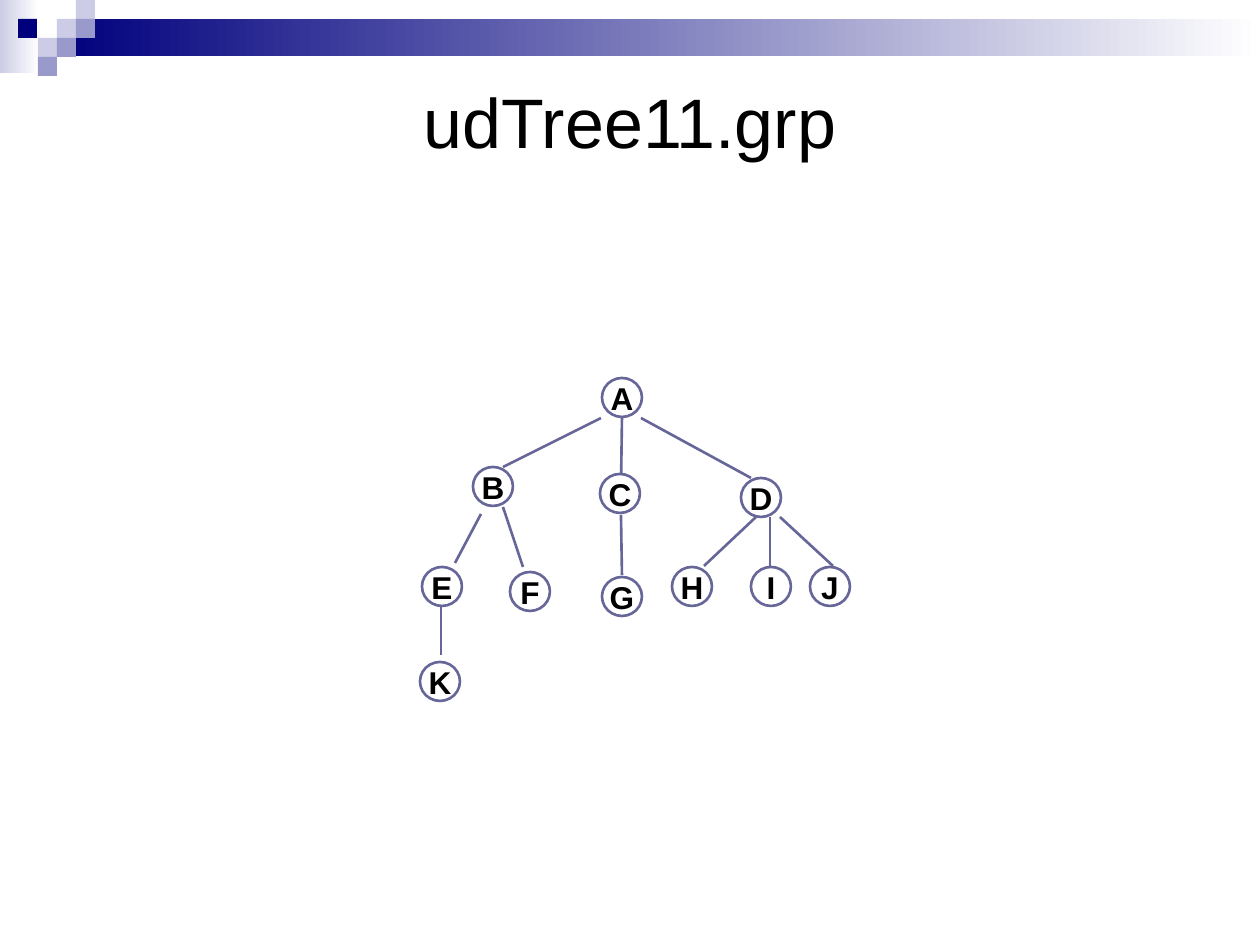
from pptx import Presentation
from pptx.dml.color import RGBColor
from pptx.enum.shapes import MSO_CONNECTOR, MSO_SHAPE
from pptx.enum.text import MSO_ANCHOR, MSO_AUTO_SIZE, PP_ALIGN
from pptx.oxml.ns import qn
from pptx.util import Pt
from lxml.etree import SubElement

PX = 914400 / 126
WHITE, NAVY, LILAC, VIOLET, SLATE = "FFFFFF", "00007D", "CCCCE6", "9999CC", "666699"
CELL = 19
NODE_W, NODE_H = 40, 39

BANDS = [(0, 0, 39, 73, LILAC), (57, 19, 1203, 37, NAVY)]
SQUARES = [(57, 19, LILAC), (76, 0, LILAC), (76, 19, VIOLET), (38, 38, LILAC),
           (18, 19, NAVY), (57, 38, VIOLET), (38, 57, VIOLET)]
NODES = {"A": (602, 378), "B": (473, 467), "C": (600, 474), "D": (741, 478),
         "E": (422, 567), "F": (510, 572), "G": (602, 577), "H": (672, 567),
         "I": (751, 567), "J": (810, 567), "K": (420, 662)}
EDGES = [(601, 418, 503, 467), (641, 418, 751, 478), (622, 418, 621, 488),
         (621, 515, 622, 575), (441, 606, 441, 655), (770, 517, 770, 566),
         (503, 507, 523, 567), (481, 514, 455, 563), (780, 517, 833, 566),
         (756, 517, 704, 566)]


def px(*values):
    return [round(v * PX) for v in values]


def rgb(color):
    return RGBColor.from_string(color)


def set_text(shape, text, size, bold=False):
    tf = shape.text_frame
    tf.text = text
    tf.auto_size = MSO_AUTO_SIZE.NONE
    tf.vertical_anchor = MSO_ANCHOR.MIDDLE
    p = tf.paragraphs[0]
    p.alignment = PP_ALIGN.CENTER
    p.font.name = "Arial"
    p.font.size = Pt(size)
    p.font.bold = bold
    p.font.color.rgb = rgb("000000")
    return tf


def add_title(s, text):
    sp = s.shapes.title
    sp.left, sp.top, sp.width, sp.height = px(63, 63, 1134, 116)
    set_text(sp, text, 40)


def add_shape(s, kind, x, y, w, h):
    sp = s.shapes.add_shape(kind, *px(x, y, w, h))
    sp.shadow.inherit = False
    return sp


def add_band(s, x, y, w, h, color):
    sp = add_shape(s, MSO_SHAPE.RECTANGLE, x, y, w, h)
    sp.line.fill.background()
    sp.fill.gradient()
    sp.fill.gradient_angle = 0
    for stop, position, shade in zip(sp.fill.gradient_stops, (0, 1), (color, WHITE)):
        stop.position = position
        stop.color.rgb = rgb(shade)


def add_square(s, x, y, color):
    sp = add_shape(s, MSO_SHAPE.RECTANGLE, x, y, CELL, CELL)
    sp.line.fill.background()
    sp.fill.solid()
    sp.fill.fore_color.rgb = rgb(color)


def set_line(shape):
    shape.line.color.rgb = rgb(SLATE)
    shape.line.width = Pt(1.5)


def add_edge(s, x1, y1, x2, y2):
    edge = s.shapes.add_connector(MSO_CONNECTOR.STRAIGHT, *px(x1, y1, x2, y2))
    set_line(edge)
    SubElement(edge._element.spPr, qn("a:effectLst"))


def add_node(s, label, x, y):
    sp = add_shape(s, MSO_SHAPE.OVAL, x, y, NODE_W, NODE_H)
    sp.fill.solid()
    sp.fill.fore_color.rgb = rgb(WHITE)
    set_line(sp)
    tf = set_text(sp, label, 18, bold=True)
    tf.word_wrap = False


def main():
    prs = Presentation()
    prs.slide_width, prs.slide_height = px(1260, 945)
    s = prs.slides.add_slide(prs.slide_layouts[5])
    for band in BANDS:
        add_band(s, *band)
    for square in SQUARES:
        add_square(s, *square)
    add_title(s, "udTree11.grp")
    for edge in EDGES:
        add_edge(s, *edge)
    for label, place in NODES.items():
        add_node(s, label, *place)
    prs.save("out.pptx")


main()
